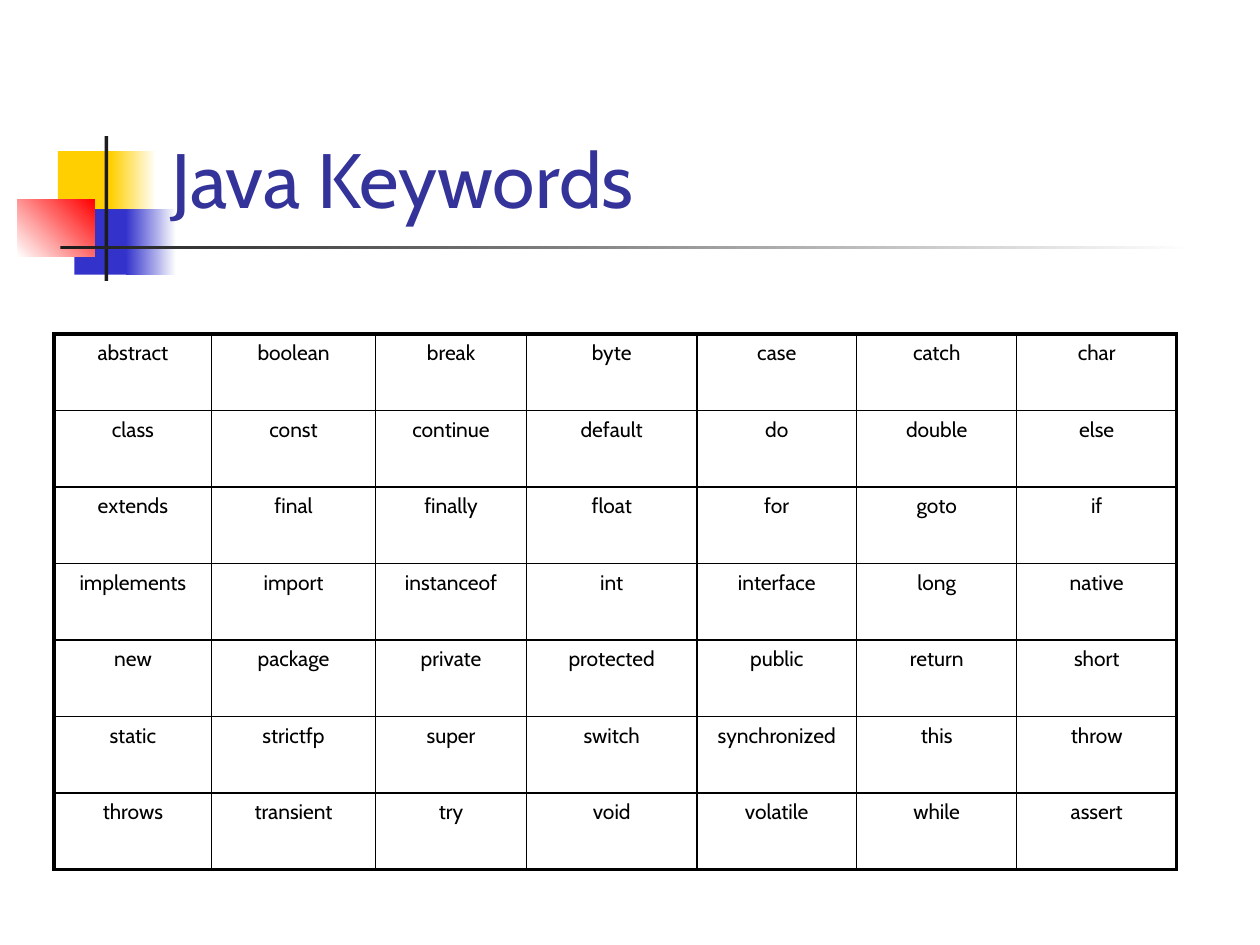
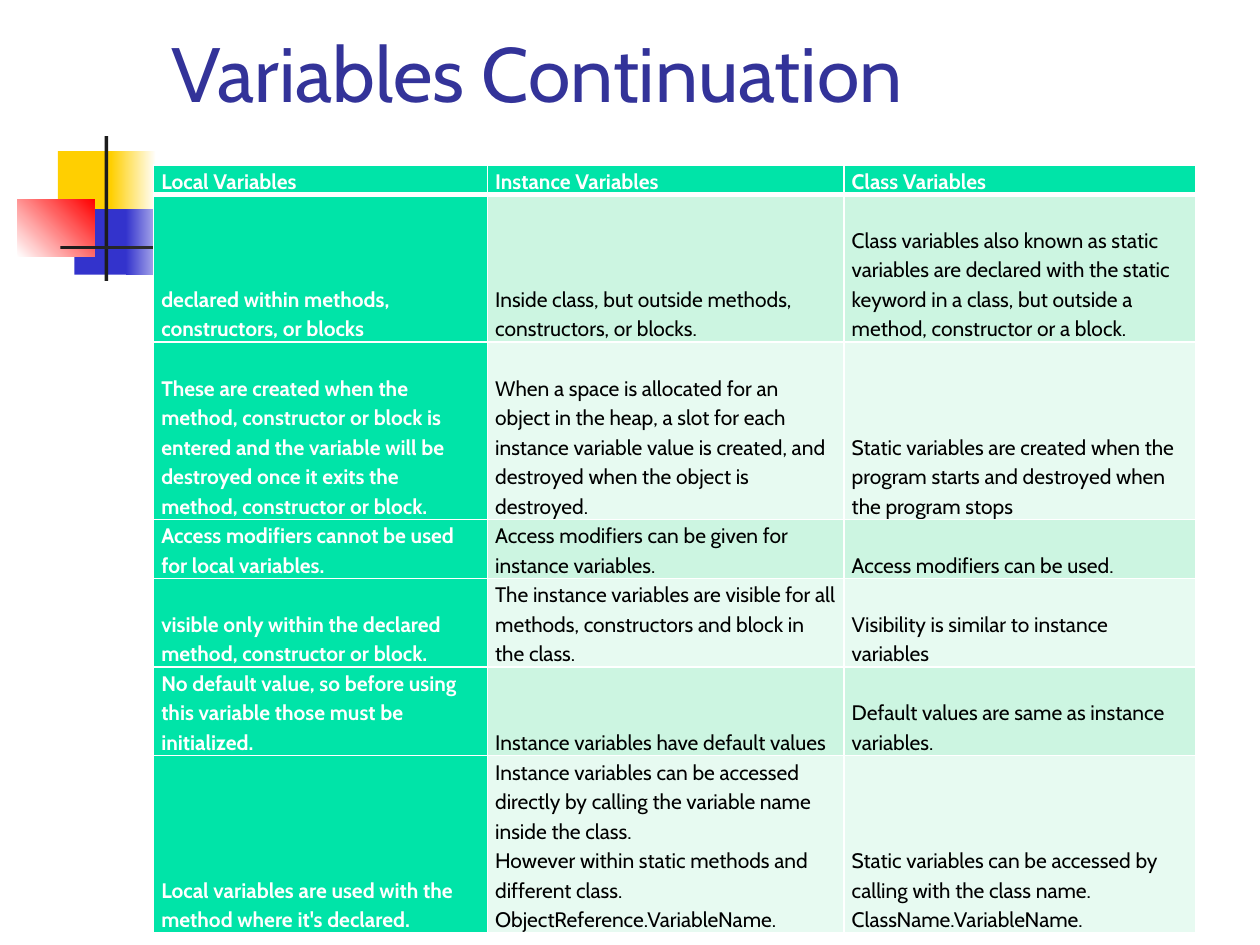
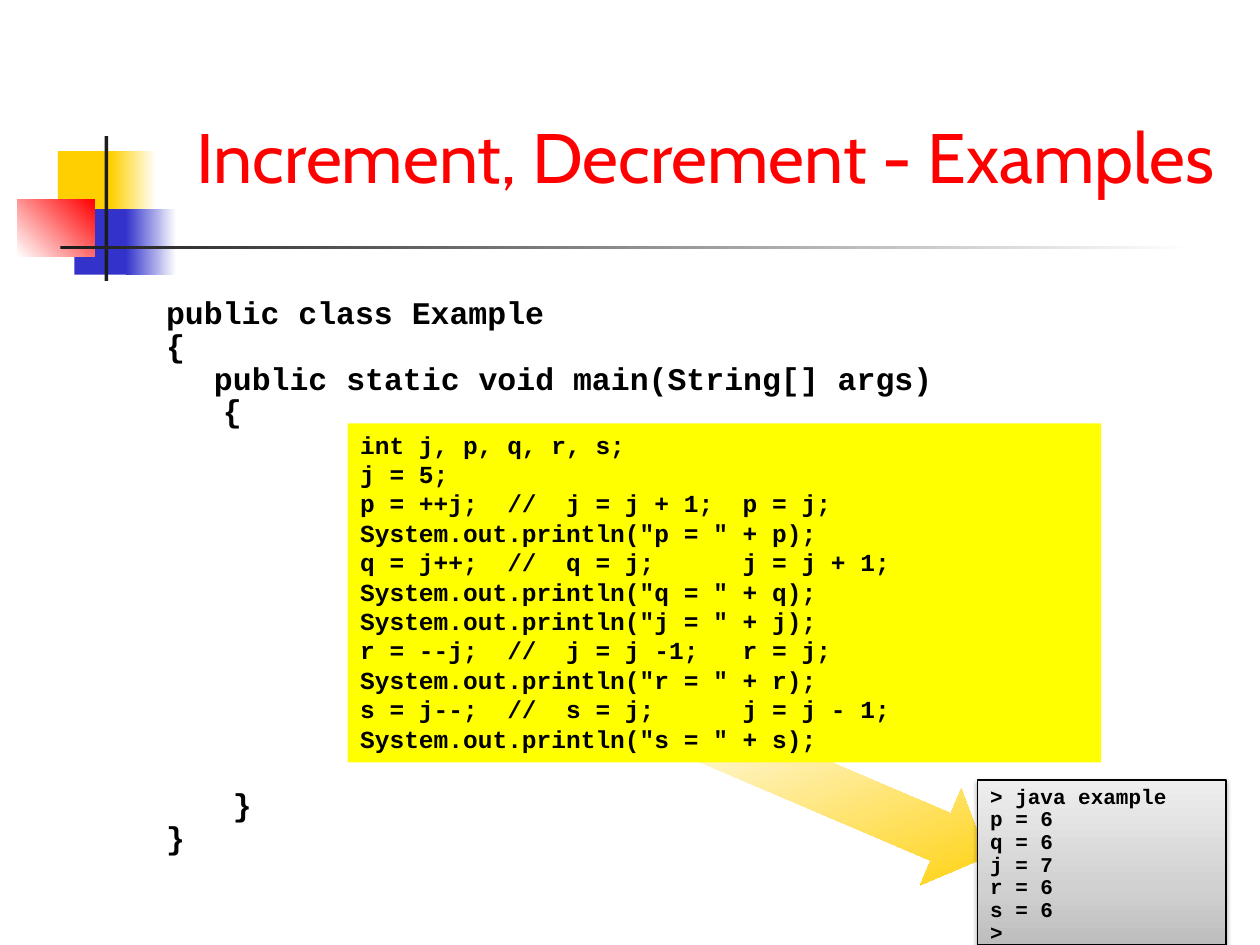
"""Build three slides on Java keywords, variables and operators."""
from lxml.etree import SubElement
from pptx import Presentation
from pptx.dml.color import RGBColor
from pptx.enum.shapes import MSO_SHAPE
from pptx.enum.text import MSO_ANCHOR, MSO_AUTO_SIZE, PP_ALIGN
from pptx.oxml.ns import qn
from pptx.util import Inches, Pt

BLACK = RGBColor(0x00, 0x00, 0x00)
WHITE = RGBColor(0xFF, 0xFF, 0xFF)
INK = RGBColor(0x1C, 0x1C, 0x1C)
GOLD = RGBColor(0xFF, 0xCF, 0x01)
BLUE = RGBColor(0x33, 0x33, 0xCC)
NAVY = RGBColor(0x33, 0x33, 0x99)
RED = RGBColor(0xFF, 0x00, 0x00)
YELLOW = RGBColor(0xFF, 0xFF, 0x00)
GREEN = RGBColor(0x00, 0xE4, 0xA8)
MINT = RGBColor(0xCC, 0xF5, 0xE1)
PALE_MINT = RGBColor(0xE7, 0xFA, 0xF1)
DARK_GREY = RGBColor(0xBD, 0xBD, 0xBD)
MID_GREY = RGBColor(0xD1, 0xD1, 0xD1)
LIGHT_GREY = RGBColor(0xEE, 0xEE, 0xEE)

BODY_FONT = "Cabin"
CODE_FONT = "Courier New"
THIN, OUTER, HEADER_RULE = 1, 2.25, 3

KEYWORDS = """
abstract boolean break byte case catch char
class const continue default do double else
extends final finally float for goto if
implements import instanceof int interface long native
new package private protected public return short
static strictfp super switch synchronized this throw
throws transient try void volatile while assert
"""

VARIABLES = [
    ("Local Variables", "Instance Variables", "Class Variables"),
    ("declared within methods, constructors, or blocks",
     "Inside class, but outside methods, constructors, or blocks.",
     "Class variables also known as static variables are declared with the static "
     "keyword in a class, but outside a method, constructor or a block."),
    ("These are created when the method, constructor or block is entered and the "
     "variable will be destroyed once it exits the method, constructor or block.",
     "When a space is allocated for an object in the heap, a slot for each instance "
     "variable value is created, and destroyed when the object is destroyed.",
     "Static variables are created when the program starts and destroyed when the "
     "program stops"),
    ("Access modifiers cannot be used for local variables.",
     "Access modifiers can be given for instance variables.",
     "Access modifiers can be used."),
    ("visible only within the declared method, constructor or block.",
     "The instance variables are visible for all methods, constructors and block in "
     "the class.",
     "Visibility is similar to instance variables"),
    ("No default value, so before using this variable those must be initialized.",
     "Instance variables have default values",
     "Default values are same as instance variables."),
    ("Local variables are used with the method where it's declared.",
     "Instance variables can be accessed directly by calling the variable name inside "
     "the class.\nHowever within static methods and different class. "
     "ObjectReference.VariableName.",
     "Static variables can be accessed by calling with the class name. \n"
     "ClassName.VariableName."),
]

STATEMENTS = """int j, p, q, r, s;
j = 5;
p = ++j;  //  j = j + 1;  p = j;
System.out.println("p = " + p);
q = j++;  //  q = j;      j = j + 1;
System.out.println("q = " + q);
System.out.println("j = " + j);
r = --j;  //  j = j -1;   r = j;
System.out.println("r = " + r);
s = j--;  //  s = j;      j = j - 1;
System.out.println("s = " + s);"""

CONSOLE = """> java example
p = 6
q = 6
j = 7
r = 6
s = 6
>"""

CLASS_FRAME = [
    ("public class Example", 0, 3.6),
    ("{", 0, 3.6),
    ("public static void main(String[] args)", 0.38, 3.6),
    ("{", 0.45, 3.6),
    ("}", 0.53, 210),
    ("}", 0, 3.6),
]


def inches(*lengths):
    """Convert several lengths to Inches."""
    return [Inches(length) for length in lengths]


def set_font(paragraph, name, size, color, bold=False):
    """Format the font of a whole paragraph."""
    font = paragraph.font
    font.name, font.size, font.bold = name, Pt(size), bold
    font.color.rgb = color


def set_gradient(shape, stops, angle):
    """Fill a shape with (percent, colour) stops at a clockwise angle."""
    shape.fill.gradient()
    shape.fill.gradient_angle = (360 - angle) % 360
    stop_list = shape.element.spPr.find(qn("a:gradFill")).find(qn("a:gsLst"))
    for stop in list(stop_list):
        stop_list.remove(stop)
    for percent, color in stops:
        stop = SubElement(stop_list, qn("a:gs"), pos=str(percent * 1000))
        SubElement(stop, qn("a:srgbClr"), val=str(color))


def add_block(slide, place, color=None, stops=None, angle=0, kind=MSO_SHAPE.RECTANGLE):
    """Add an unlined preset shape with a solid or gradient fill."""
    shape = slide.shapes.add_shape(kind, *inches(*place))
    shape.shadow.inherit = False
    shape.line.fill.background()
    if stops:
        set_gradient(shape, stops, angle)
    else:
        shape.fill.solid()
        shape.fill.fore_color.rgb = color
    return shape


def add_layout_art(slide, layout):
    """Draw the coloured blocks and rules and move them to the layout."""
    blocks = [
        ((0.46, 1.2, 0.48, 0.52), GOLD, None, 0),
        ((0.88, 1.2, 0.36, 0.52), None, [(0, GOLD), (100, WHITE)], 0),
        ((0.59, 1.66, 0.46, 0.52), BLUE, None, 0),
        ((1, 1.66, 0.4, 0.52), None, [(0, BLUE), (100, WHITE)], 0),
        ((0.14, 1.58, 0.61, 0.46), None, [(0, WHITE), (100, RED)], 315),
        ((0.83, 1.08, 0.03, 1.15), INK, None, 0),
        ((0.48, 1.95, 9, 0.03), None, [(0, INK), (100, WHITE)], 0),
    ]
    for place, color, stops, angle in blocks:
        block = add_block(slide, place, color, stops, angle)
        layout.shapes.element.append(block.element)


def set_title(slide, text, place, size=44, color=NAVY):
    """Place and format the slide title."""
    title = slide.shapes.title
    title.left, title.top, title.width, title.height = inches(*place)
    frame = title.text_frame
    frame.text = text
    frame.auto_size = MSO_AUTO_SIZE.NONE
    frame.vertical_anchor = MSO_ANCHOR.BOTTOM
    frame.paragraphs[0].alignment = PP_ALIGN.LEFT
    set_font(frame.paragraphs[0], BODY_FONT, size, color)


def set_code(shape, text, size, spacing=1.0):
    """Write lines of code into a shape, from its top left corner."""
    frame = shape.text_frame
    frame.word_wrap = True
    frame.vertical_anchor = MSO_ANCHOR.TOP
    frame.text = text
    for paragraph in frame.paragraphs:
        paragraph.alignment = PP_ALIGN.LEFT
        paragraph.line_spacing = spacing
        set_font(paragraph, CODE_FONT, size, BLACK, bold=True)


def set_borders(cell, color, widths):
    """Draw the left, right, top and bottom borders of a cell."""
    properties = cell._tc.get_or_add_tcPr()
    for side, width in zip("LRTB", widths):
        line = SubElement(properties, qn(f"a:ln{side}"), w=str(Pt(width)))
        fill = SubElement(line, qn("a:solidFill"))
        SubElement(fill, qn("a:srgbClr"), val=str(color))


def add_grid(slide, place, column_widths, row_heights):
    """Add a plain table with the given column widths and row heights."""
    rows, columns = len(row_heights), len(column_widths)
    table = slide.shapes.add_table(rows, columns, *inches(*place)).table
    table.first_row = table.horz_banding = False
    for column, width in zip(table.columns, column_widths):
        column.width = Inches(width)
    for row, height in zip(table.rows, row_heights):
        row.height = Inches(height)
    return table


def add_keyword_table(slide):
    """Add the ruled table of Java keywords."""
    rows = [line.split() for line in KEYWORDS.strip().splitlines()]
    widths = [1.25, 1.3, 1.2, 1.35, 1.27, 1.27, 1.27]
    table = add_grid(slide, (0.43, 2.65, 8.91, 4.25), widths, [4.25 / len(rows)] * len(rows))
    last_row, last_column = len(rows) - 1, len(widths) - 1
    for i, words in enumerate(rows):
        for j, word in enumerate(words):
            cell = table.cell(i, j)
            edges = (j == 0, j == last_column, i == 0, i == last_row)
            set_borders(cell, BLACK, [OUTER if edge else THIN for edge in edges])
            cell.fill.background()
            paragraph = cell.text_frame.paragraphs[0]
            paragraph.text = word
            paragraph.alignment = PP_ALIGN.CENTER
            paragraph.space_before = Pt(2.4)
            set_font(paragraph, BODY_FONT, 12, BLACK)


def add_variable_table(slide):
    """Add the table that compares the kinds of variables."""
    table = add_grid(slide, (1.22, 1.31, 8.27, 6.06), [2.65, 2.83, 2.79],
                     [0.21, 1.17, 1.41, 0.46, 0.7, 0.7, 1.41])
    for i, texts in enumerate(VARIABLES):
        for j, text in enumerate(texts):
            cell = table.cell(i, j)
            is_heading = i == 0 or j == 0
            set_borders(cell, WHITE, (THIN, THIN, HEADER_RULE if i == 1 else THIN,
                                      HEADER_RULE if i == 0 else THIN))
            cell.fill.solid()
            band = MINT if i % 2 else PALE_MINT
            cell.fill.fore_color.rgb = GREEN if is_heading else band
            cell.vertical_anchor = MSO_ANCHOR.BOTTOM
            cell.margin_left = cell.margin_right = Inches(0.06)
            cell.margin_top = cell.margin_bottom = 0
            paragraph = cell.text_frame.paragraphs[0]
            paragraph.text = text
            paragraph.line_spacing = 1.15
            set_font(paragraph, BODY_FONT, 12, WHITE if is_heading else BLACK, is_heading)


def add_console(slide):
    """Add the shaded box with the program output."""
    stops = [(0, DARK_GREY), (35, MID_GREY), (100, LIGHT_GREY)]
    console = add_block(slide, (7.76, 6.19, 1.97, 1.31), stops=stops, angle=270)
    console.line.color.rgb = BLACK
    console.line.width = Pt(0.75)
    effects = console.element.spPr.find(qn("a:effectLst"))
    shadow = SubElement(effects, qn("a:outerShdw"), blurRad=str(Pt(3.1)),
                        dist=str(Pt(1.6)), dir="5400000", rotWithShape="0")
    color = SubElement(shadow, qn("a:srgbClr"), val=str(BLACK))
    SubElement(color, qn("a:alpha"), val="38000")
    set_code(console, CONSOLE, 12, 0.9)


def add_class_frame(slide):
    """Add the class and method lines that enclose the statements."""
    box = slide.shapes.add_textbox(*inches(1.22, 2.36, 8.5, 4.88))
    set_code(box, "\n".join(text for text, _, _ in CLASS_FRAME), 18, 0.7)
    for paragraph, (_, indent, gap) in zip(box.text_frame.paragraphs, CLASS_FRAME):
        paragraph.space_before = Pt(gap)
        paragraph._p.get_or_add_pPr().set("marL", str(Inches(indent)))


def add_example(slide):
    """Add the sample program, its output and the arrow between them."""
    arrow = add_block(slide, (5.51, 5.91, 2.42, 0.83), stops=[(0, WHITE), (100, GOLD)],
                      angle=45, kind=MSO_SHAPE.RIGHT_ARROW)
    arrow.rotation = 23.1
    arrow.adjustments[0], arrow.adjustments[1] = 0.49, 0.48
    statements = add_block(slide, (2.76, 3.36, 5.98, 2.69), YELLOW)
    set_code(statements, STATEMENTS, 14)
    add_console(slide)
    add_class_frame(slide)


def main():
    """Build and save the deck."""
    deck = Presentation()
    deck.slide_width, deck.slide_height = inches(10, 7.5)
    layout = deck.slide_layouts[5]
    keywords, variables, example = [deck.slides.add_slide(layout) for _ in range(3)]
    add_layout_art(keywords, layout)

    set_title(keywords, "Java Keywords", (1.26, 0.23, 8.52, 1.6))
    add_keyword_table(keywords)

    set_title(variables, "Variables Continuation", (1.26, 0.23, 8.52, 0.76))
    add_variable_table(variables)

    set_title(example, "Increment, Decrement - Examples", (1.46, 0.76, 9, 0.86), 40, RED)
    add_example(example)
    deck.save("out.pptx")


if __name__ == "__main__":
    main()
